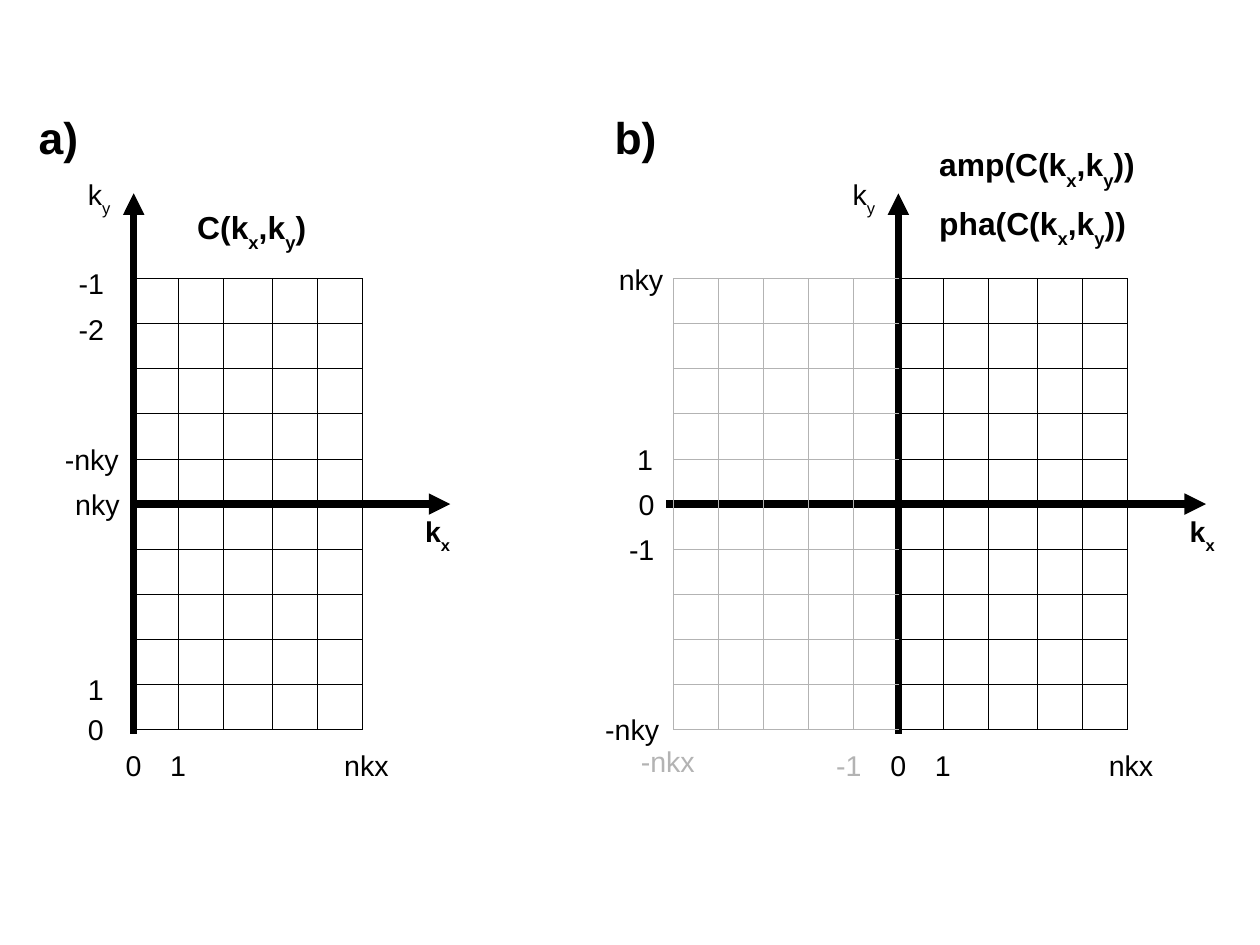
from lxml.etree import SubElement
from pptx import Presentation
from pptx.dml.color import RGBColor
from pptx.enum.shapes import MSO_CONNECTOR as Connector
from pptx.enum.text import MSO_ANCHOR as Anchor, MSO_AUTO_SIZE as AutoSize, PP_ALIGN as Align
from pptx.oxml.ns import qn
from pptx.util import Inches, Mm, Pt

BLACK = RGBColor(0x00, 0x00, 0x00)
GREY = RGBColor(0xB3, 0xB3, 0xB3)
FONT = "Arial"
ROWS = 10
COLUMNS = 5
GRID_TOP = 2.44
CELL = 3.94 / ROWS
AXIS_A = 1.17
AXIS_B = 7.86
AXIS_WIDTH = 4.5
GRID_START = 0.09
WIDE_COLUMN_EXTRA = 0.09
MIDDLE_ROW = ROWS // 2


def add_line(slide, axis, start, end, color, width=0, arrow=False):
    points = [
        Inches(value)
        for column, row in (start, end)
        for value in (axis + column * CELL, GRID_TOP + row * CELL)
    ]
    line = slide.shapes.add_connector(Connector.STRAIGHT, *points)
    line.line.color.rgb = color
    outline = line.line._get_or_add_ln()
    outline.set("w", str(Pt(width)))
    if arrow:
        SubElement(outline, qn("a:tailEnd"), type="triangle")
    SubElement(line._element.spPr, qn("a:effectLst"))


def add_label(slide, axis, text, column, row, color=BLACK, size=18, bold=False, box=None):
    name_width = 0.66 if "nk" in text else 0.41
    width, height = box or (name_width + 0.08 * text.startswith("-"), 0.38)
    left = axis + column * CELL - width / 2
    top = GRID_TOP + row * CELL - height / 2
    label = slide.shapes.add_textbox(Inches(left), Inches(top), Inches(width), Inches(height))
    frame = label.text_frame
    frame.word_wrap = False
    frame.auto_size = AutoSize.SHAPE_TO_FIT_TEXT
    frame.vertical_anchor = Anchor.TOP
    paragraph = frame.paragraphs[0]
    paragraph.alignment = Align.LEFT
    for index, part in enumerate(text.split("_")):
        if not part:
            continue
        run = paragraph.add_run()
        run.text = part
        run.font.name = FONT
        run.font.size = Pt(size)
        run.font.bold = bold
        run.font.color.rgb = color
        if index % 2:
            run.font._element.set("baseline", "-33000")


def add_axes(slide, axis, left, right):
    add_line(slide, axis, (left, MIDDLE_ROW), (right, MIDDLE_ROW), BLACK, AXIS_WIDTH, True)
    add_line(slide, axis, (0, ROWS + 0.1), (0, -1.9), BLACK, AXIS_WIDTH, True)
    add_label(slide, axis, "k_x_", 6.84, 5.65, bold=True, box=(0.49, 0.44))
    add_label(slide, axis, "k_y_", -0.76, -1.83, box=(0.4, 0.44))


def add_grid(slide, axis, left, right, columns, rows, color):
    for row in rows:
        add_line(slide, axis, (left, row), (right, row), color)
    for column in columns:
        add_line(slide, axis, (column, ROWS), (column, 0), color)


def add_positive_half(slide, axis):
    columns = [n + (WIDE_COLUMN_EXTRA if n > 2 else 0) for n in range(1, COLUMNS + 1)]
    add_grid(slide, axis, GRID_START, columns[-1], columns, range(ROWS + 1), BLACK)
    for text, column in (("0", 0.09), ("1", 1.08), ("nkx", 5.26)):
        add_label(slide, axis, text, column, 10.77)


def add_negative_half(slide, axis):
    rows = [row for row in range(ROWS + 1) if row != MIDDLE_ROW]
    add_grid(slide, axis, -COLUMNS, 0, range(-COLUMNS, 0), rows, GREY)
    add_label(slide, axis, "-1", -1.01, 10.77, GREY)
    add_label(slide, axis, "-nkx", -5.03, 10.68, GREY)


def add_row_labels(slide, axis, labels):
    for text, column, row in labels:
        add_label(slide, axis, text, column, row)


def add_panel_a(slide, axis):
    add_axes(slide, axis, 0.03, 7.03)
    add_positive_half(slide, axis)
    add_row_labels(slide, axis, (
        ("-1", -0.85, 0.08),
        ("-2", -0.85, 1.08),
        ("-nky", -0.84, 3.98),
        ("nky", -0.71, 4.98),
        ("1", -0.75, 9.08),
        ("0", -0.75, 9.97),
    ))
    add_label(slide, axis, "a)", -1.6, -3.21, size=28, bold=True, box=(0.6, 0.53))
    add_label(slide, axis, "C(k_x_,k_y_)", 2.62, -1.1, size=20, bold=True, box=(1.15, 0.48))


def add_panel_b(slide, axis):
    add_axes(slide, axis, -5.15, 6.83)
    add_positive_half(slide, axis)
    add_negative_half(slide, axis)
    add_row_labels(slide, axis, (
        ("nky", -5.62, -0.02),
        ("1", -5.53, 3.98),
        ("0", -5.5, 4.98),
        ("-1", -5.61, 5.97),
        ("-nky", -5.82, 9.97),
    ))
    add_label(slide, axis, "b)", -5.79, -3.21, size=28, bold=True, box=(0.6, 0.53))
    add_label(slide, axis, "amp(C(k_x_,k_y_))", 3.08, -2.49, size=20, bold=True, box=(1.91, 0.48))
    add_label(slide, axis, "pha(C(k_x_,k_y_))", 2.98, -1.19, size=20, bold=True, box=(1.83, 0.48))


def main():
    presentation = Presentation()
    presentation.slide_width = Mm(280)
    presentation.slide_height = Mm(210)
    slide = presentation.slides.add_slide(presentation.slide_layouts[6])
    add_panel_a(slide, AXIS_A)
    add_panel_b(slide, AXIS_B)
    presentation.save("out.pptx")


if __name__ == "__main__":
    main()
